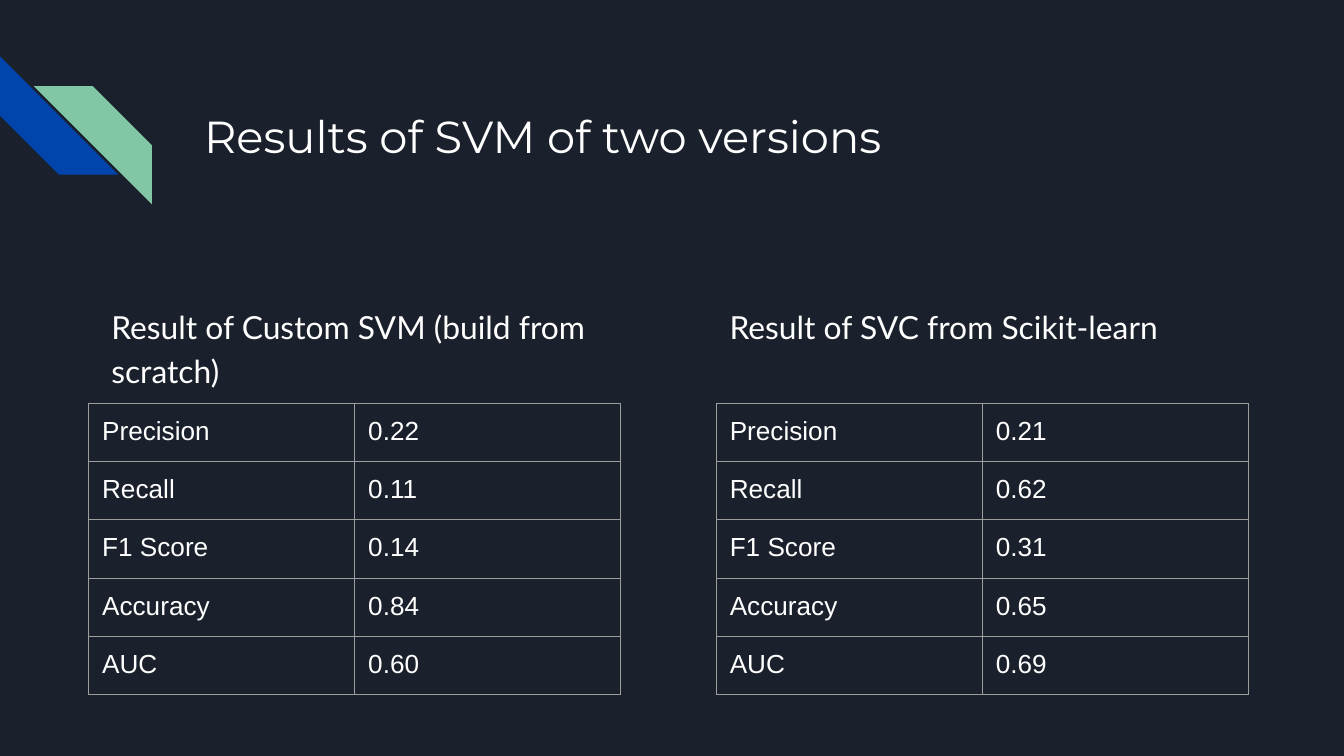
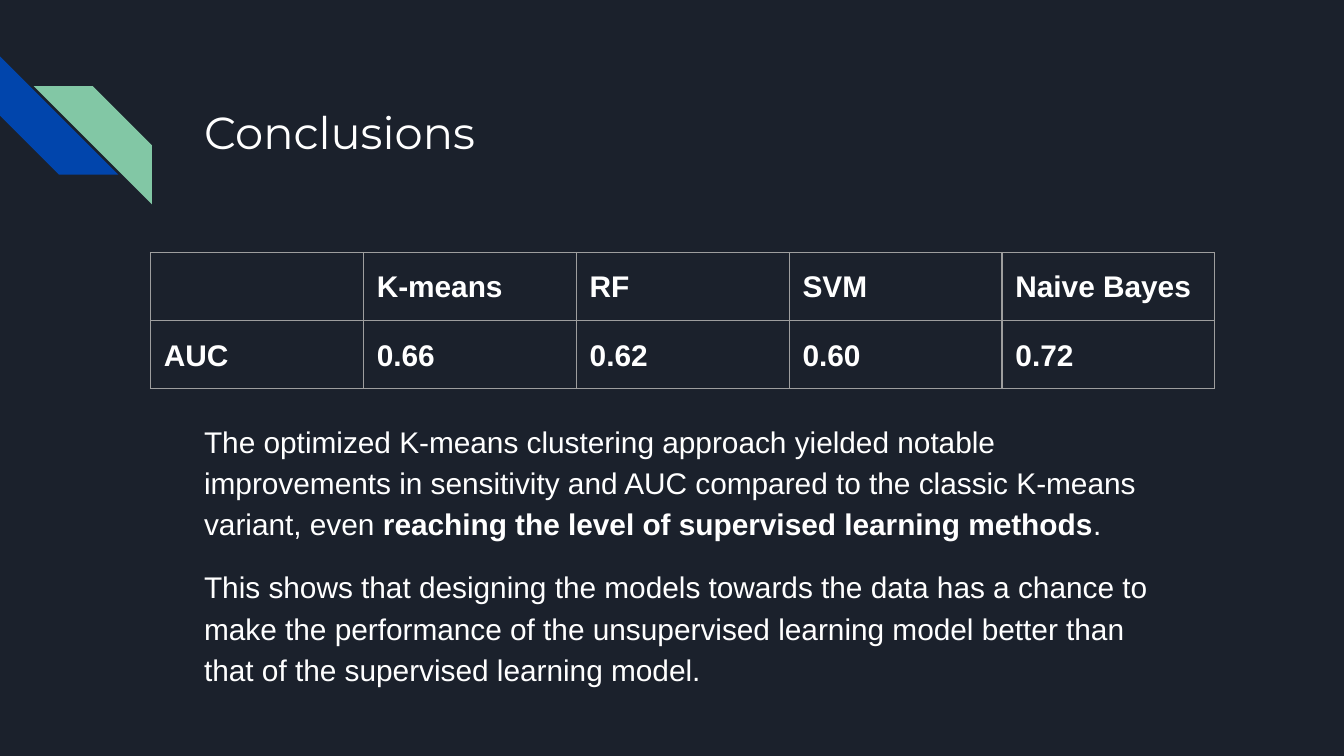
from lxml import etree
from pptx import Presentation, util as u
from pptx.dml import color
from pptx.enum import shapes, text
from pptx.oxml import ns

W = 10
H = W * 9 / 16
INK, DARK, RULE = "FFFFFF", "1B212C", "9E9E9E"
PAD = 0.1
ROW = 0.42
FRAME = 3.28

HEAD = dict(name="Montserrat", size=24)
SUB = dict(name="Lato", size=17)
CELL = dict(name="Arial", size=14)
BODY = dict(name="Arial", size=16)
BOLD = dict(BODY, bold=True)
LOOSE = dict(line_spacing=1.15)
AFTER = dict(LOOSE, space_after=u.Pt(12))
APART = dict(AFTER, space_before=u.Pt(12))

STRIPES = [(0, 0.42, 270, "0145AC"), (0.25, 0.64, 90, "82C7A5")]
SIDE = 0.88

NAMES = ["Precision", "Recall", "F1 Score", "Accuracy", "AUC"]
TESTS = [
    ("Result of Custom SVM (build from scratch)", (0.73, 2.15, 3.96, 3.46), LOOSE, 0.66,
     ["0.22", "0.11", "0.14", "0.84", "0.60"]),
    ("Result of SVC from Scikit-learn", (5.33, 2.15, 3.72, 3.18), AFTER, 5.33,
     ["0.21", "0.62", "0.31", "0.65", "0.69"]),
]
SCORES = [
    ["", "K-means", "RF", "SVM", "Naive Bayes"],
    ["AUC", "0.66", "0.62", "0.60", "0.72"],
]
CLOSING = [
    (LOOSE, [
        ("The optimized K-means clustering approach yielded notable improvements in "
         "sensitivity and AUC compared to the classic K-means variant, even ", BODY),
        ("reaching the level of supervised learning methods", BOLD),
        (".", BODY),
    ]),
    (APART, [
        ("This shows that designing the models towards the data has a chance to make "
         "the performance of the unsupervised learning model better than that of the "
         "supervised learning model.", BODY),
    ]),
]


def paint(spot, tone):
    if hasattr(spot, "solid"):
        spot.solid()
        spot = spot.fore_color
    spot.rgb = color.RGBColor.from_string(tone)


def inch(*nums):
    return [u.Inches(n) for n in nums]


def put(item, form):
    for key, val in form.items():
        setattr(item, key, val)


def inset(item):
    put(item, {"margin_" + side: u.Inches(PAD)
               for side in ("left", "right", "top", "bottom")})


def write(frame, paras):
    for i, (form, runs) in enumerate(paras):
        para = frame.add_paragraph() if i else frame.paragraphs[0]
        put(para, form)
        for words, font in runs:
            run = para.add_run()
            run.text = words
            put(run.font, dict(font, size=u.Pt(font["size"])))
            paint(run.font.color, INK)


def add_box(slide, area, paras):
    frame = slide.shapes.add_textbox(*inch(*area)).text_frame
    put(frame, dict(word_wrap=True, vertical_anchor=text.MSO_ANCHOR.TOP))
    inset(frame)
    write(frame, paras)


def edge(cell):
    props = cell._tc.get_or_add_tcPr()
    for side in "LRTB":
        line = etree.SubElement(props, ns.qn("a:ln" + side), w=str(u.Pt(0.75)))
        fill = etree.SubElement(line, ns.qn("a:solidFill"))
        etree.SubElement(fill, ns.qn("a:srgbClr"), val=RULE)


def add_grid(slide, left, top, wide, rows, form, font):
    count, cols = len(rows), len(rows[0])
    holder = slide.shapes.add_table(
        count, cols, *inch(left, top, wide, ROW * count))
    grid = holder.table
    put(grid, dict(first_row=False, horz_banding=False))
    for col in grid.columns:
        col.width = u.Inches(wide / cols)
    for r, row in enumerate(rows):
        grid.rows[r].height = u.Inches(ROW)
        for c, words in enumerate(row):
            cell = grid.cell(r, c)
            inset(cell)
            edge(cell)
            cell.fill.background()
            if words:
                write(cell.text_frame, [(form, [(words, font)])])
    put(holder, dict(width=u.Inches(FRAME), height=u.Inches(FRAME)))


def add_page(deck, title, top):
    slide = deck.slides.add_slide(deck.slide_layouts[6])
    paint(slide.background.fill, DARK)
    for left, high, turn, tone in STRIPES:
        band = slide.shapes.add_shape(
            shapes.MSO_SHAPE.DIAGONAL_STRIPE, *inch(left, high, SIDE, SIDE))
        band.adjustments[0] = 0.5
        band.rotation = turn
        band.shadow.inherit = False
        paint(band.fill, tone)
        band.line.fill.background()
    add_box(slide, (1.42, top, 7.7, 1), [({}, [(title, HEAD)])])
    return slide


def main():
    deck = Presentation()
    deck.slide_width, deck.slide_height = inch(W, H)

    page = add_page(deck, "Results of SVM of two versions", 0.71)
    for label, area, form, left, vals in TESTS:
        add_box(page, area, [(form, [(label, SUB)])])
        add_grid(page, left, 3, 3.96, list(zip(NAMES, vals)), {}, CELL)

    page = add_page(deck, "Conclusions", 0.68)
    add_box(page, (1.42, 3.01, 7.31, 2.13), CLOSING)
    add_grid(page, 1.12, 1.88, 7.92, SCORES, AFTER, BOLD)

    deck.save("out.pptx")


if __name__ == "__main__":
    main()
